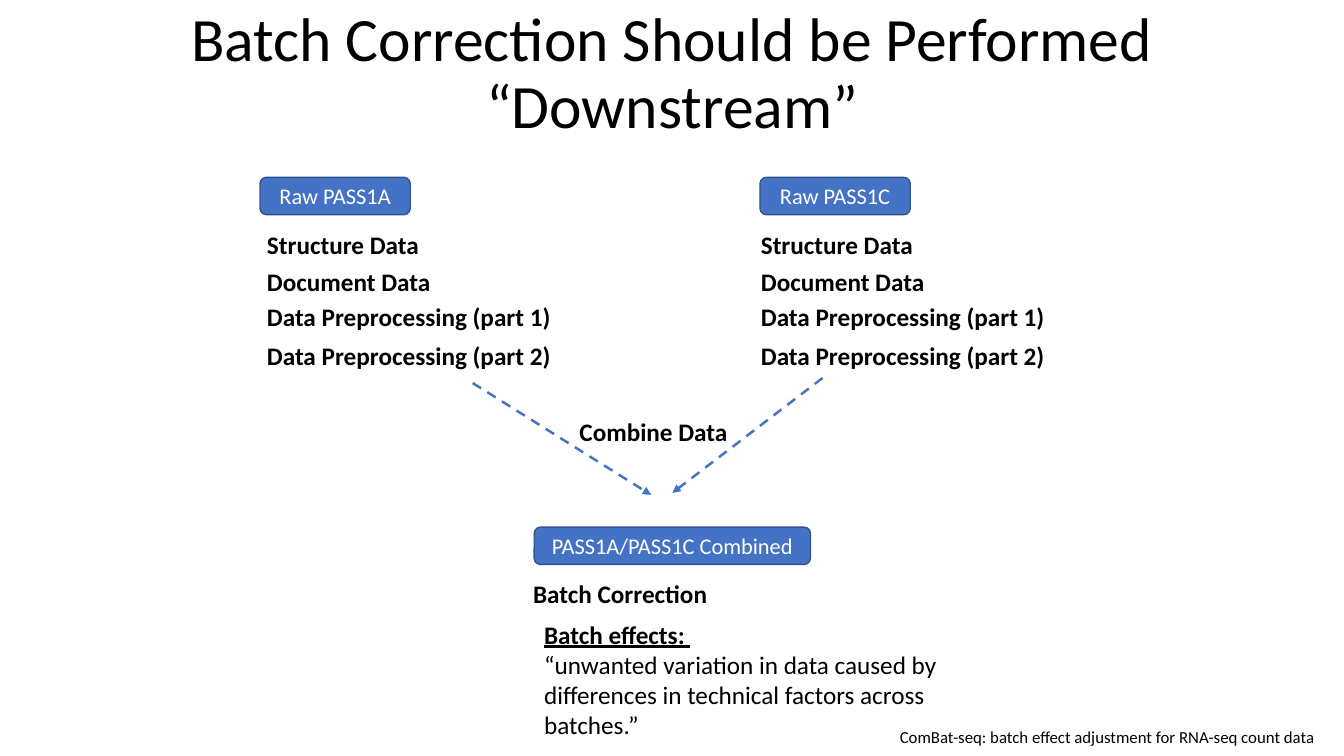
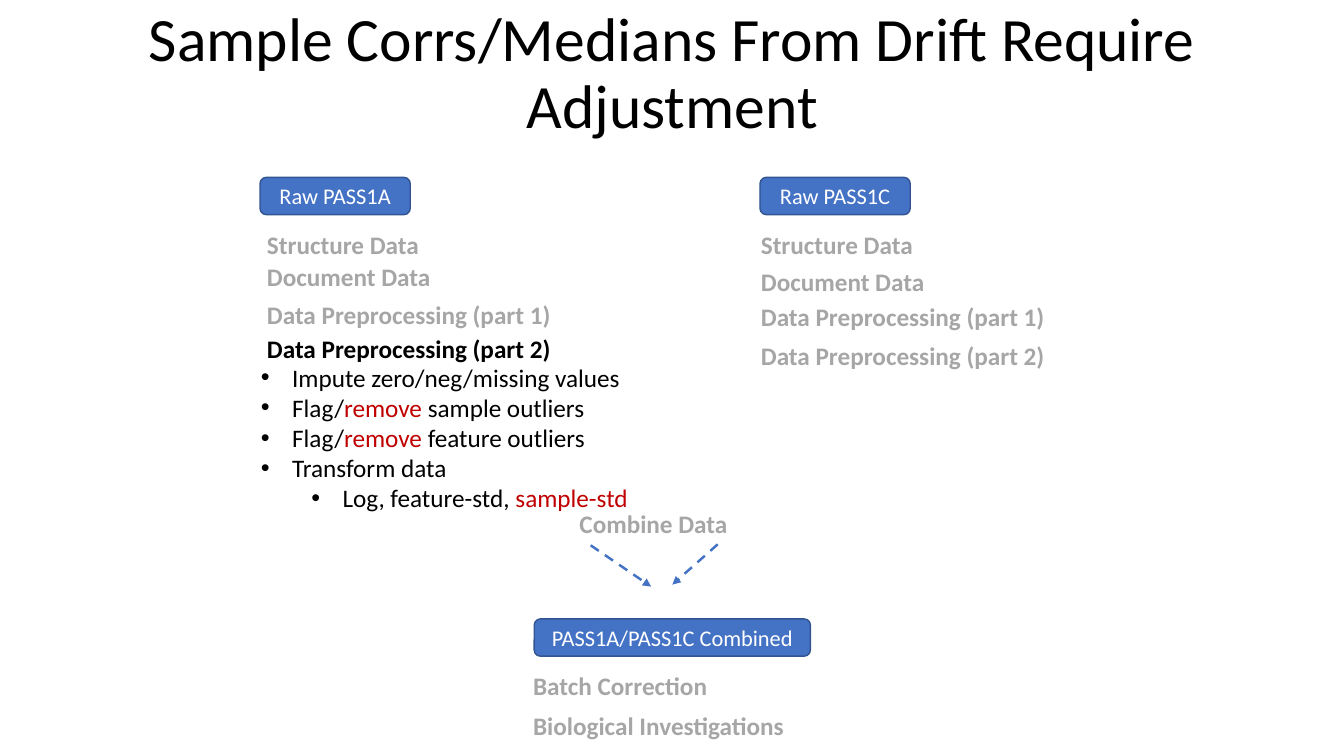
from dataclasses import dataclass
from typing import NamedTuple

from lxml import etree
from pptx import Presentation
from pptx import util as u
from pptx.dml.color import RGBColor
from pptx.enum import dml, shapes, text
from pptx.oxml.ns import qn


@dataclass(frozen=True)
class Theme:
    font: str = "Calibri"
    ink: str = "000000"
    muted: str = "A6A6A6"
    alert: str = "C00000"
    white: str = "FFFFFF"
    blue: str = "4472C4"
    edge: str = "325491"
    title: int = 44
    body: int = 18
    pill: int = 16
    note: int = 12
    arrow: float = 1.75


T = Theme()
WIDTH, HEIGHT = u.Inches(13.33), u.Inches(7.5)
COLS, ROWS = 40, 30
LEFT_STEPS, RIGHT_STEPS, RAW_ROW = 7.65, 22.35, 7.04
STEPS = ("Structure Data", "Document Data",
         "Data Preprocessing (part 1)", "Data Preprocessing (part 2)")
EVEN_ROWS = (8.92, 10.38, 11.78, 13.32)
TIGHT_ROWS = (8.92, 10.16, 11.68, 13.04)


class Box(NamedTuple):
    col: float
    row: float
    cols: float
    rows: float


class Point(NamedTuple):
    col: float
    row: float


class Span(NamedTuple):
    text: str
    color: str = T.ink
    bold: bool = False
    underline: bool = False


class Para(NamedTuple):
    spans: tuple[Span, ...]
    bullet: bool = False
    level: int = 0


@dataclass(frozen=True)
class Flow:
    title: str
    left_rows: tuple[float, ...]
    left_colors: tuple[str, ...]
    color: str
    pill_row: float
    after: tuple[str, ...]
    left_start: Point
    right_start: Point
    detail: Box
    paras: tuple[Para, ...]
    note: str = ""


def x(cols: float) -> int:
    return round(WIDTH * cols / COLS)


def y(rows: float) -> int:
    return round(HEIGHT * rows / ROWS)


def place(box: Box) -> tuple[int, int, int, int]:
    return x(box.col), y(box.row), x(box.cols), y(box.rows)


def style(r, size: int, span: Span) -> None:
    r.font.name = T.font
    r.font.size = u.Pt(size)
    r.font.color.rgb = RGBColor.from_string(span.color)
    r.font.bold = span.bold
    r.font.underline = span.underline


def add_bullet(p, level: int) -> None:
    p.level = level
    pPr = p._p.get_or_add_pPr()
    pPr.set("marL", str(u.Inches(0.31 + 0.5 * level)))
    pPr.set("indent", str(u.Inches(-0.31)))
    etree.SubElement(pPr, qn("a:buFont")).set("typeface", "Arial")
    etree.SubElement(pPr, qn("a:buChar")).set("char", "•")


def write(tf, paras: tuple[Para, ...], size: int, align=text.PP_ALIGN.LEFT) -> None:
    tf.word_wrap = True
    for i, para in enumerate(paras):
        p = tf.add_paragraph() if i else tf.paragraphs[0]
        p.alignment = align
        if para.bullet:
            add_bullet(p, para.level)
        for span in para.spans:
            r = p.add_run()
            r.text = span.text
            style(r, size, span)


def add_text(s, box: Box, paras: tuple[Para, ...], size: int = T.body,
             align=text.PP_ALIGN.LEFT):
    sp = s.shapes.add_textbox(*place(box))
    write(sp.text_frame, paras, size, align)
    return sp


def add_title(s, title: str) -> None:
    sp = add_text(s, Box(2.76, 0.08, 34.5, 5.8), (Para((Span(title),)),),
                  T.title, text.PP_ALIGN.CENTER)
    sp.text_frame.vertical_anchor = text.MSO_ANCHOR.MIDDLE
    sp.text_frame.paragraphs[0].line_spacing = 0.9


def add_step(s, label: str, col: float, row: float, color: str) -> None:
    add_text(s, Box(col, row, 9.93, 1.6), (Para((Span(label, color, True),)),))


def add_pill(s, label: str, col: float, row: float, cols: float) -> None:
    sp = s.shapes.add_shape(shapes.MSO_SHAPE.ROUNDED_RECTANGLE,
                            *place(Box(col, row, cols, 1.48)))
    sp.shadow.inherit = False
    sp.fill.solid()
    sp.fill.fore_color.rgb = RGBColor.from_string(T.blue)
    sp.line.color.rgb = RGBColor.from_string(T.edge)
    sp.line.width = u.Pt(1)
    sp.text_frame.vertical_anchor = text.MSO_ANCHOR.MIDDLE
    write(sp.text_frame, (Para((Span(label, T.white),)),), T.pill,
          text.PP_ALIGN.CENTER)


def add_arrow(s, start: Point, end: Point) -> None:
    c = s.shapes.add_connector(shapes.MSO_CONNECTOR.STRAIGHT, x(start.col),
                               y(start.row), x(end.col), y(end.row))
    c.line.color.rgb = RGBColor.from_string(T.blue)
    c.line.width = u.Pt(T.arrow)
    c.line.dash_style = dml.MSO_LINE.DASH
    spPr = c.element.spPr
    etree.SubElement(spPr.find(qn("a:ln")), qn("a:tailEnd")).set("type", "triangle")
    etree.SubElement(spPr, qn("a:effectLst"))


def add_flow(prs, flow: Flow) -> None:
    s = prs.slides.add_slide(prs.slide_layouts[6])
    add_title(s, flow.title)
    add_pill(s, "Raw PASS1A", 7.74, RAW_ROW, 4.47)
    add_pill(s, "Raw PASS1C", 22.62, RAW_ROW, 4.47)
    add_pill(s, "PASS1A/PASS1C Combined", 15.9, flow.pill_row, 8.22)
    for label, row, color in zip(STEPS, flow.left_rows, flow.left_colors):
        add_step(s, label, LEFT_STEPS, row, color)
    for label, row in zip(STEPS, EVEN_ROWS):
        add_step(s, label, RIGHT_STEPS, row, flow.color)
    for i, label in enumerate(flow.after):
        add_step(s, label, 15.57, flow.pill_row + 1.84 + 1.6 * i, flow.color)
    add_arrow(s, flow.right_start, Point(20.01, flow.pill_row - 1.36))
    add_arrow(s, flow.left_start, Point(19.38, flow.pill_row - 1.28))
    add_step(s, "Combine Data", 16.95, flow.pill_row - 4.6, flow.color)
    add_text(s, flow.detail, flow.paras)
    if flow.note:
        add_text(s, Box(19.38, 28.64, 20.16, 1.2), (Para((Span(flow.note),)),),
                 T.note, text.PP_ALIGN.RIGHT)


FLOWS = (
    Flow(
        title="Batch Correction Should be Performed “Downstream”",
        left_rows=EVEN_ROWS,
        left_colors=(T.ink,) * 4,
        color=T.ink,
        pill_row=20.92,
        after=("Batch Correction",),
        left_start=Point(14.07, 15.2),
        right_start=Point(24.48, 15),
        detail=Box(15.9, 24.36, 13.05, 6.48),
        paras=(
            Para((Span("Batch effects: ", bold=True, underline=True),)),
            Para((Span("“unwanted variation in data caused by differences "
                       "in technical factors across batches.”"),)),
        ),
        note="ComBat-seq: batch effect adjustment for RNA-seq count data ",
    ),
    Flow(
        title="Sample Corrs/Medians From Drift Require Adjustment",
        left_rows=TIGHT_ROWS,
        left_colors=(T.muted,) * 3 + (T.ink,),
        color=T.muted,
        pill_row=24.56,
        after=("Batch Correction", "Biological Investigations"),
        left_start=Point(17.58, 21.64),
        right_start=Point(21.36, 21.6),
        detail=Box(7.47, 14.16, 13.89, 6.48),
        paras=(
            Para((Span("Impute zero/neg/missing values"),), True),
            *(Para((Span("Flag/"), Span("remove", T.alert),
                    Span(f" {kind} outliers")), True)
              for kind in ("sample", "feature")),
            Para((Span("Transform data"),), True),
            Para((Span("Log, feature-std, "), Span("sample-std", T.alert)), True, 1),
        ),
    ),
)


def main() -> None:
    prs = Presentation()
    prs.slide_width, prs.slide_height = WIDTH, HEIGHT
    for flow in FLOWS:
        add_flow(prs, flow)
    prs.save("out.pptx")


if __name__ == "__main__":
    main()
